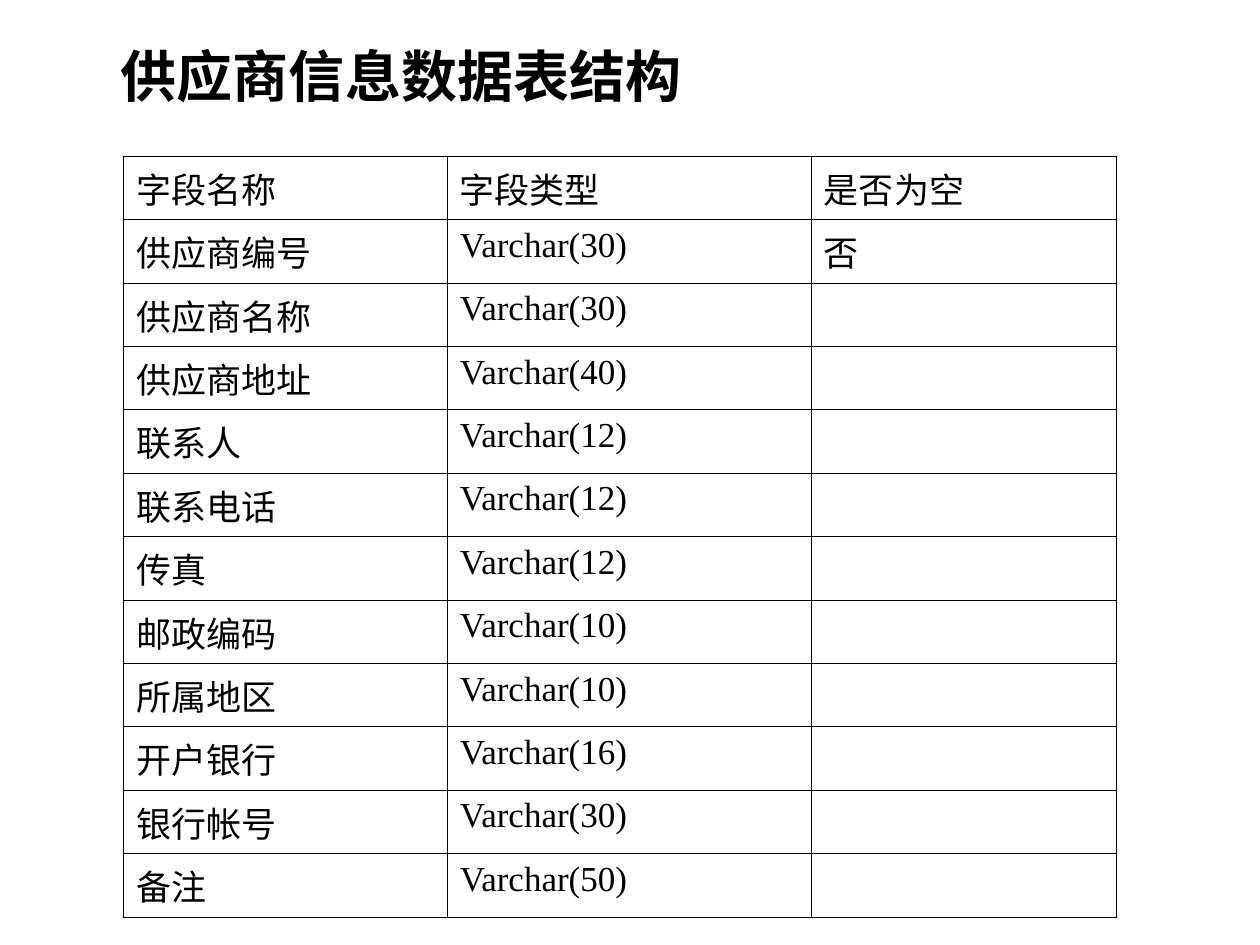
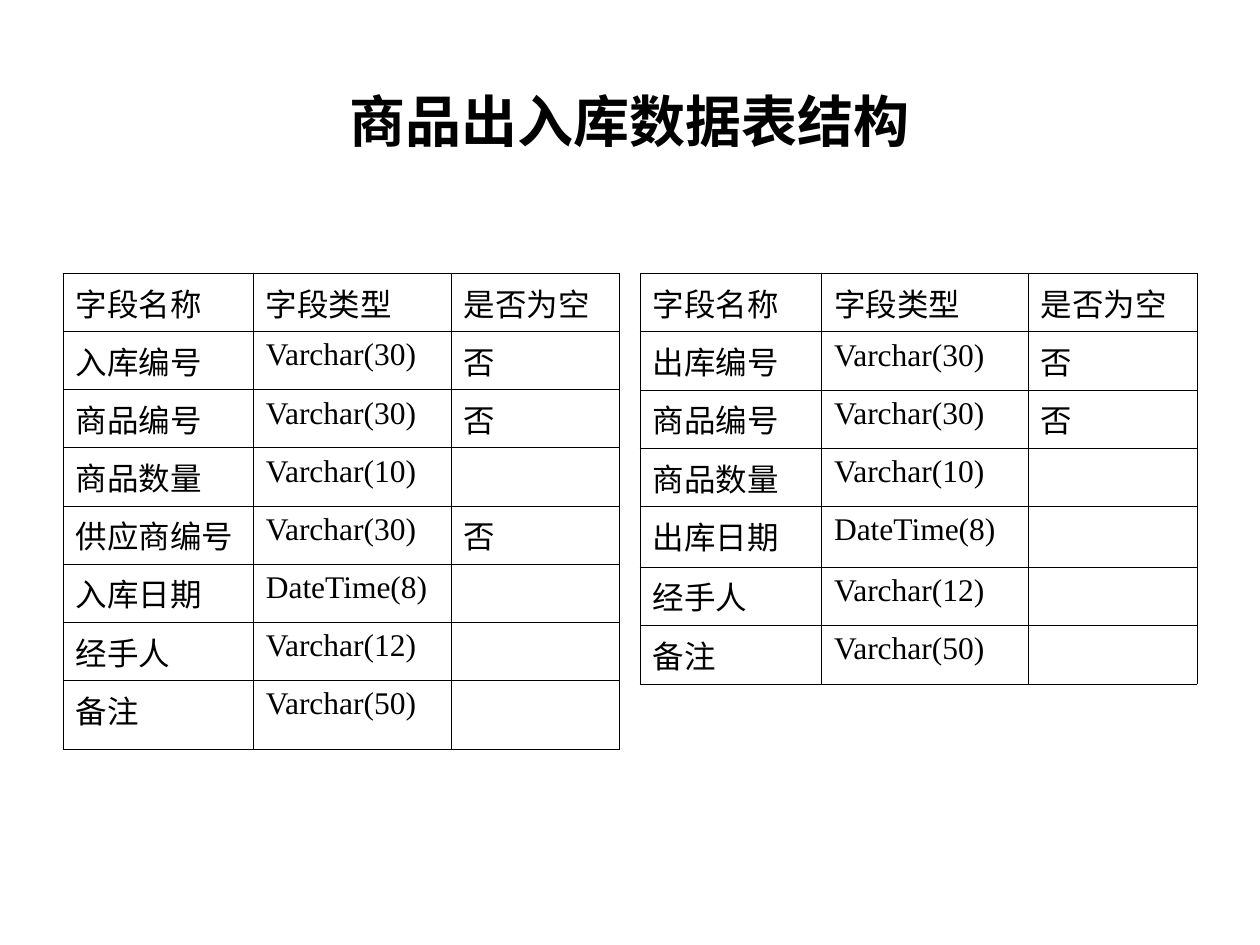
from lxml import etree
from pptx import Presentation
from pptx import util as u
from pptx.dml.color import RGBColor
from pptx.enum import text
from pptx.oxml import ns

BLACK = "000000"
TITLE_FONT = {"name": "Arial", "size": u.Pt(32), "bold": True}
CELL_FONT = {"name": "Times New Roman", "bold": False}
BORDER_WIDTH = u.Pt(0.45)
HEADER = ("字段名称", "字段类型", "是否为空")

SUPPLIER_FIELDS = [
    ("供应商编号", "Varchar(30)", "否"),
    ("供应商名称", "Varchar(30)"),
    ("供应商地址", "Varchar(40)"),
    ("联系人", "Varchar(12)"),
    ("联系电话", "Varchar(12)"),
    ("传真", "Varchar(12)"),
    ("邮政编码", "Varchar(10)"),
    ("所属地区", "Varchar(10)"),
    ("开户银行", "Varchar(16)"),
    ("银行帐号", "Varchar(30)"),
    ("备注", "Varchar(50)"),
]
GOODS_FIELDS = [
    ("商品编号", "Varchar(30)", "否"),
    ("商品数量", "Varchar(10)"),
]
CLOSING_FIELDS = [
    ("经手人", "Varchar(12)"),
    ("备注", "Varchar(50)"),
]
STOCK_IN_FIELDS = [
    ("入库编号", "Varchar(30)", "否"),
    *GOODS_FIELDS,
    ("供应商编号", "Varchar(30)", "否"),
    ("入库日期", "DateTime(8)"),
    *CLOSING_FIELDS,
]
STOCK_OUT_FIELDS = [
    ("出库编号", "Varchar(30)", "否"),
    *GOODS_FIELDS,
    ("出库日期", "DateTime(8)"),
    *CLOSING_FIELDS,
]


def color(value):
    return RGBColor.from_string(value)


def set_font(font, formats):
    for name, value in formats.items():
        setattr(font, name, value)
    font.color.rgb = color(BLACK)


def add_title(s, title, width, height):
    tf = s.shapes.add_textbox(u.Inches(0.5), u.Inches(0.2),
                              u.Inches(width), u.Inches(height)).text_frame
    tf.word_wrap = True
    tf.vertical_anchor = text.MSO_ANCHOR.MIDDLE
    p = tf.paragraphs[0]
    p.alignment = text.PP_ALIGN.CENTER
    r = p.add_run()
    r.text = title
    set_font(r.font, TITLE_FONT)


def add_borders(cell):
    """Draw thin lines on all four sides; they must precede the cell's fill."""
    tcPr = cell._tc.get_or_add_tcPr()
    for i, side in enumerate("LRTB"):
        ln = etree.Element(ns.qn(f"a:ln{side}"), w=str(BORDER_WIDTH))
        fill = etree.SubElement(ln, ns.qn("a:solidFill"))
        etree.SubElement(fill, ns.qn("a:srgbClr"), val=BLACK)
        tcPr.insert(i, ln)


def fill_cell(cell, value, size, hanging):
    cell.fill.background()
    add_borders(cell)
    p = cell.text_frame.paragraphs[0]
    if hanging:
        pPr = p._p.get_or_add_pPr()
        pPr.set("marL", str(u.Inches(hanging)))
        pPr.set("indent", str(-u.Inches(hanging)))
    if value:
        r = p.add_run()
        r.text = value
        set_font(r.font, {**CELL_FONT, "size": u.Pt(size)})


def equal_rows(total, count):
    return [total / count] * count


def add_field_table(s, fields, left, top, widths, heights, size, hanging=0):
    rows = [HEADER, *fields]
    table = s.shapes.add_table(len(rows), len(HEADER), u.Inches(left), u.Inches(top),
                               u.Inches(sum(widths)), u.Inches(sum(heights))).table
    table.first_row = table.horz_banding = False
    for column, width in zip(table.columns, widths):
        column.width = u.Inches(width)
    for row, height, values in zip(table.rows, heights, rows):
        row.height = u.Inches(height)
        for i, cell in enumerate(row.cells):
            fill_cell(cell, values[i] if i < len(values) else "", size, hanging)


def main():
    prs = Presentation()
    prs.slide_width, prs.slide_height = u.Inches(10), u.Inches(7.5)
    blank = prs.slide_layouts[6]

    s = prs.slides.add_slide(blank)
    add_title(s, "供应商信息数据表结构", 5.37, 0.79)
    add_field_table(s, SUPPLIER_FIELDS, 0.98, 1.24, [2.57, 2.89, 2.42],
                    equal_rows(6.04, 12), size=20, hanging=0.38)

    s = prs.slides.add_slide(blank)
    add_title(s, "商品出入库数据表结构", 9, 1.5)
    add_field_table(s, STOCK_IN_FIELDS, 0.5, 2.17, [1.51, 1.57, 1.34],
                    equal_rows(3.23, 7) + [0.55], size=18)
    add_field_table(s, STOCK_OUT_FIELDS, 5.08, 2.17, [1.44, 1.64, 1.34],
                    equal_rows(1.85, 4) + [0.48] + equal_rows(0.93, 2), size=18)

    prs.save("out.pptx")


if __name__ == "__main__":
    main()
